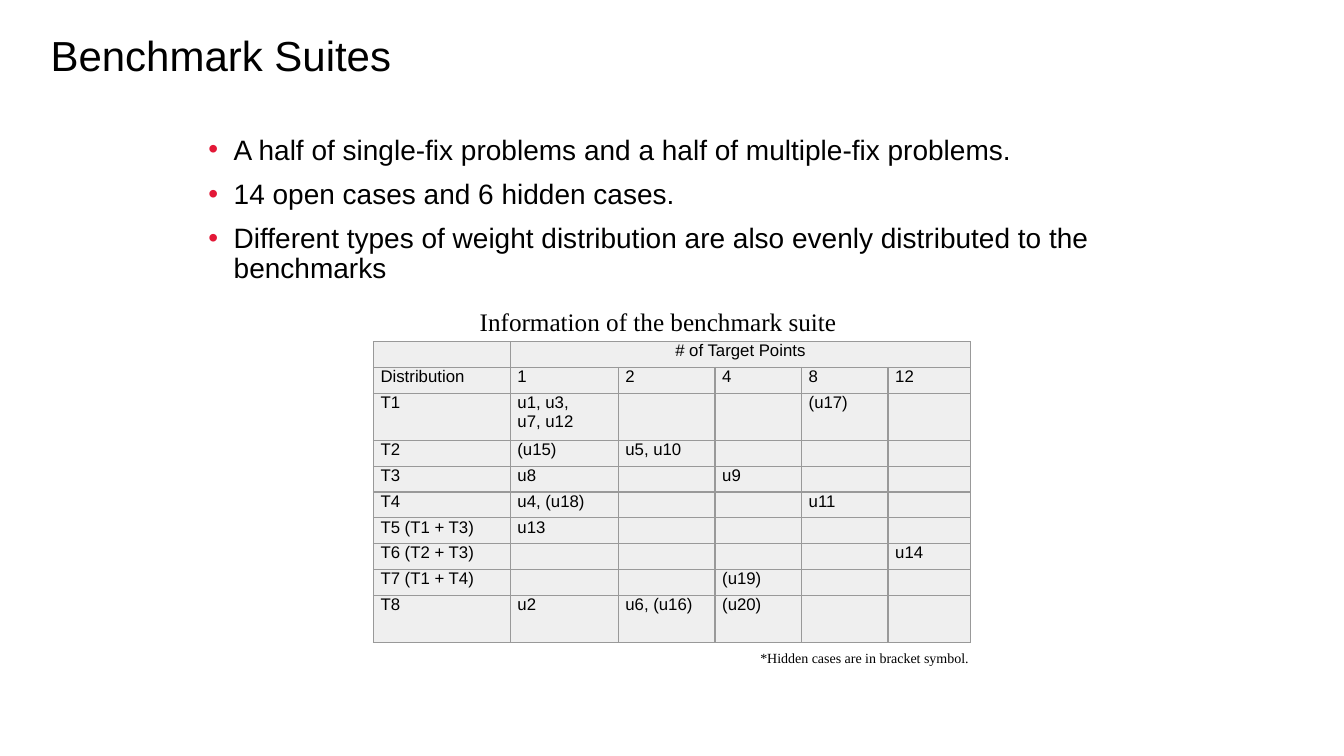
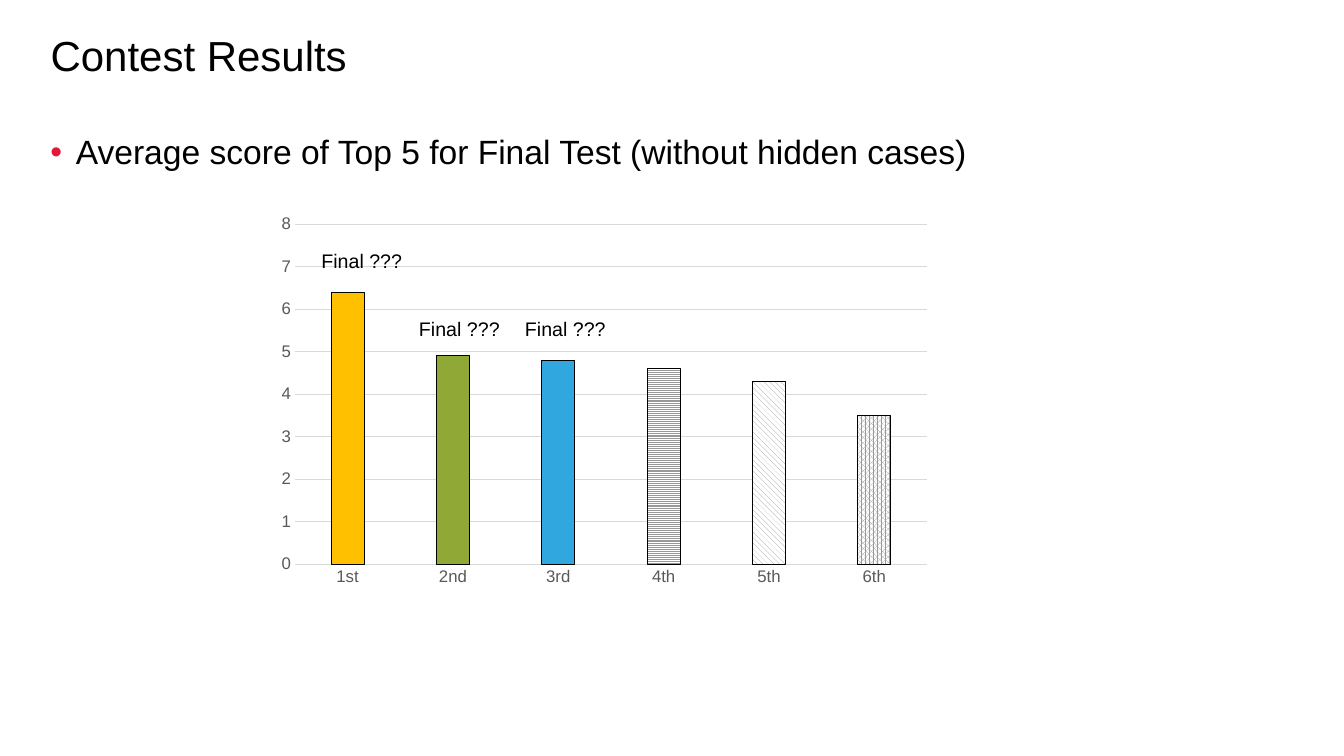
"""Build two slides on a benchmark suite and its contest results."""
from lxml.etree import SubElement
from pptx import Presentation
from pptx.chart.data import CategoryChartData
from pptx.dml.color import RGBColor
from pptx.enum.chart import XL_CHART_TYPE as ChartType, XL_TICK_MARK as TickMark
from pptx.enum.dml import MSO_PATTERN as Pattern
from pptx.enum.text import MSO_ANCHOR as Anchor, MSO_AUTO_SIZE as AutoSize, PP_ALIGN as Align
from pptx.oxml.ns import qn
from pptx.util import Cm, Pt

COLORS = {
    "text": "000000", "bullet": "E31837", "cell": "EFEFEF", "border": "999999",
    "axis": "595959", "grid": "D9D9D9", "pattern": "999999", "paper": "FFFFFF",
    "gold": "FFC000", "green": "8FA836", "blue": "31A7DF",
}
SANS, SERIF = "Arial", "Times New Roman"
TITLE_BOX = (1.02, 0.76, 31.83, 2.54)

SUITE_POINTS = [
    "A half of single-fix problems and a half of multiple-fix problems.",
    "14 open cases and 6 hidden cases.",
    "Different types of weight distribution are also evenly distributed to the benchmarks",
]
SUITE_ROWS = [
    ["", "# of Target Points", "", "", "", ""],
    ["Distribution", "1", "2", "4", "8", "12"],
    ["T1", "u1, u3,\nu7, u12", "", "", "(u17)", ""],
    ["T2", "(u15)", "u5, u10", "", "", ""],
    ["T3", "u8", "", "u9", "", ""],
    ["T4", "u4, (u18)", "", "", "u11", ""],
    ["T5 (T1 + T3)", "u13", "", "", "", ""],
    ["T6 (T2 + T3)", "", "", "", "", "u14"],
    ["T7 (T1 + T4)", "", "", "(u19)", "", ""],
    ["T8", "u2", "u6, (u16)", "(u20)", "", ""],
]
COLUMN_WIDTHS = [3.45, 2.72, 2.44, 2.18, 2.18, 2.08]
ROW_HEIGHT, TALL_ROW_HEIGHT, TALL_ROWS = 0.65, 1.19, (2, 9)

RESULT_POINTS = ["Average score of Top 5 for Final Test (without hidden cases)"]
SCORES = [
    ("1st", 6.4, "gold"),
    ("2nd", 4.9, "green"),
    ("3rd", 4.8, "blue"),
    ("4th", 4.6, Pattern.LIGHT_HORIZONTAL),
    ("5th", 4.3, Pattern.WIDE_DOWNWARD_DIAGONAL),
    ("6th", 3.5, Pattern.PERCENT_75),
]
SCORE_LABELS = [("Final ???", 7.85, 6.15), ("Final ???", 10.31, 7.85), ("Final ???", 12.98, 7.87)]


def rgb(name):
    return RGBColor.from_string(COLORS[name])


def set_all(target, **values):
    for name, value in values.items():
        setattr(target, name, value)


def set_font(font, size, color="text", name=SANS):
    set_all(font, size=Pt(size), name=name, bold=False)
    font.color.rgb = rgb(color)


def set_line(line, color, width=0.75):
    line.color.rgb = rgb(color)
    line.width = Pt(width)


def add_slide(presentation, title):
    slide = presentation.slides.add_slide(presentation.slide_layouts[5])
    shape = slide.shapes.title
    left, top, width, height = map(Cm, TITLE_BOX)
    set_all(shape, left=left, top=top, width=width, height=height)
    set_all(shape.text_frame, text=title, vertical_anchor=Anchor.TOP,
            auto_size=AutoSize.NONE, word_wrap=True)
    paragraph = shape.text_frame.paragraphs[0]
    set_all(paragraph, alignment=Align.LEFT, line_spacing=0.9)
    set_font(paragraph.runs[0].font, 30)
    return slide


def add_text(slide, lines, box, size, name=SANS, wrap=True, **paragraph_format):
    frame = slide.shapes.add_textbox(*map(Cm, box)).text_frame
    set_all(frame, text="\n".join(lines), word_wrap=wrap)
    for paragraph in frame.paragraphs:
        set_all(paragraph, **paragraph_format)
        set_font(paragraph.runs[0].font, size, name=name)
    return frame


def add_bullets(slide, lines, box, size):
    frame = add_text(slide, lines, box, size, line_spacing=0.9, space_before=Pt(10))
    for paragraph in frame.paragraphs:
        properties = paragraph._p.get_or_add_pPr()
        indent = Cm(0.64)
        properties.set("marL", str(indent))
        properties.set("indent", str(-indent))
        color = SubElement(properties, qn("a:buClr"))
        SubElement(color, qn("a:srgbClr"), val=COLORS["bullet"])
        SubElement(properties, qn("a:buFont"), typeface=SANS)
        SubElement(properties, qn("a:buChar"), char="•")


def format_cell(cell, text):
    set_all(cell, text=text, margin_left=Cm(0.18), margin_right=Cm(0.18),
            margin_top=0, margin_bottom=0, vertical_anchor=Anchor.TOP)
    for paragraph in cell.text_frame.paragraphs:
        for run in paragraph.runs:
            set_font(run.font, 12)
        if not paragraph.runs:
            SubElement(paragraph._p, qn("a:endParaRPr"), sz="1200")
    properties = cell._tc.get_or_add_tcPr()
    for side in ("lnL", "lnR", "lnT", "lnB"):
        border = SubElement(properties, qn(f"a:{side}"), w=str(Pt(1)))
        fill = SubElement(border, qn("a:solidFill"))
        SubElement(fill, qn("a:srgbClr"), val=COLORS["border"])
    cell.fill.solid()
    cell.fill.fore_color.rgb = rgb("cell")


def add_suite_table(slide):
    heights = [TALL_ROW_HEIGHT if row in TALL_ROWS else ROW_HEIGHT for row in range(len(SUITE_ROWS))]
    size = (sum(COLUMN_WIDTHS), sum(heights))
    table = slide.shapes.add_table(len(heights), len(COLUMN_WIDTHS),
                                   *map(Cm, (9.41, 8.61, *size))).table
    set_all(table, first_row=False, horz_banding=False)
    for column, width in zip(table.columns, COLUMN_WIDTHS):
        column.width = Cm(width)
    for row, height, texts in zip(table.rows, heights, SUITE_ROWS):
        row.height = Cm(height)
        for cell, text in zip(row.cells, texts):
            format_cell(cell, text)
    heading = table.cell(0, 1)
    heading.merge(table.cell(0, len(COLUMN_WIDTHS) - 1))
    heading.text_frame.paragraphs[0].alignment = Align.CENTER


def add_score_chart(slide):
    names, values, fills = zip(*SCORES)
    data = CategoryChartData()
    data.categories = names
    data.add_series("Series 1", values)
    box = map(Cm, (6.76, 5.23, 16.94, 9.73))
    chart = slide.shapes.add_chart(ChartType.COLUMN_CLUSTERED, *box, data).chart
    set_all(chart, has_title=False, has_legend=False)
    set_font(chart.font, 10)
    for axis in (chart.category_axis, chart.value_axis):
        set_all(axis, major_tick_mark=TickMark.NONE, minor_tick_mark=TickMark.NONE)
        set_font(axis.tick_labels.font, 12, "axis")
    set_line(chart.category_axis.format.line, "grid")
    set_all(chart.value_axis, minimum_scale=0, maximum_scale=8, major_unit=1)
    chart.value_axis.format.line.fill.background()
    set_line(chart.value_axis.major_gridlines.format.line, "grid")
    plot = chart.plots[0]
    set_all(plot, gap_width=219, overlap=-27, vary_by_categories=False)
    for index, fill in enumerate(fills):
        style = plot.series[0].points[index].format
        if fill in COLORS:
            style.fill.solid()
            style.fill.fore_color.rgb = rgb(fill)
        else:
            style.fill.patterned()
            style.fill.pattern = fill
            style.fill.fore_color.rgb = rgb("pattern")
            style.fill.back_color.rgb = rgb("paper")
        set_line(style.line, "text")


def main():
    presentation = Presentation()
    set_all(presentation, slide_width=Cm(33.87), slide_height=Cm(19.05))

    suites = add_slide(presentation, "Benchmark Suites")
    add_suite_table(suites)
    add_text(suites, ["Information of the benchmark suite"], (11.84, 7.59, 9.6, 1.02), 18,
             SERIF, wrap=False)
    add_text(suites, ["*Hidden cases are in bracket symbol."], (18.72, 16.23, 5.94, 0.69), 10,
             SERIF, wrap=False, alignment=Align.RIGHT, space_before=Pt(3), space_after=Pt(1.5))
    add_bullets(suites, SUITE_POINTS, (5, 3.3, 23.88, 14.22), 20)

    results = add_slide(presentation, "Contest Results")
    add_bullets(results, RESULT_POINTS, (1.02, 3.3, 31.83, 14.22), 24)
    add_score_chart(results)
    for label, left, top in SCORE_LABELS:
        add_text(results, [label], (left, top, 3.2, 0.86), 14)

    presentation.save("out.pptx")


if __name__ == "__main__":
    main()
